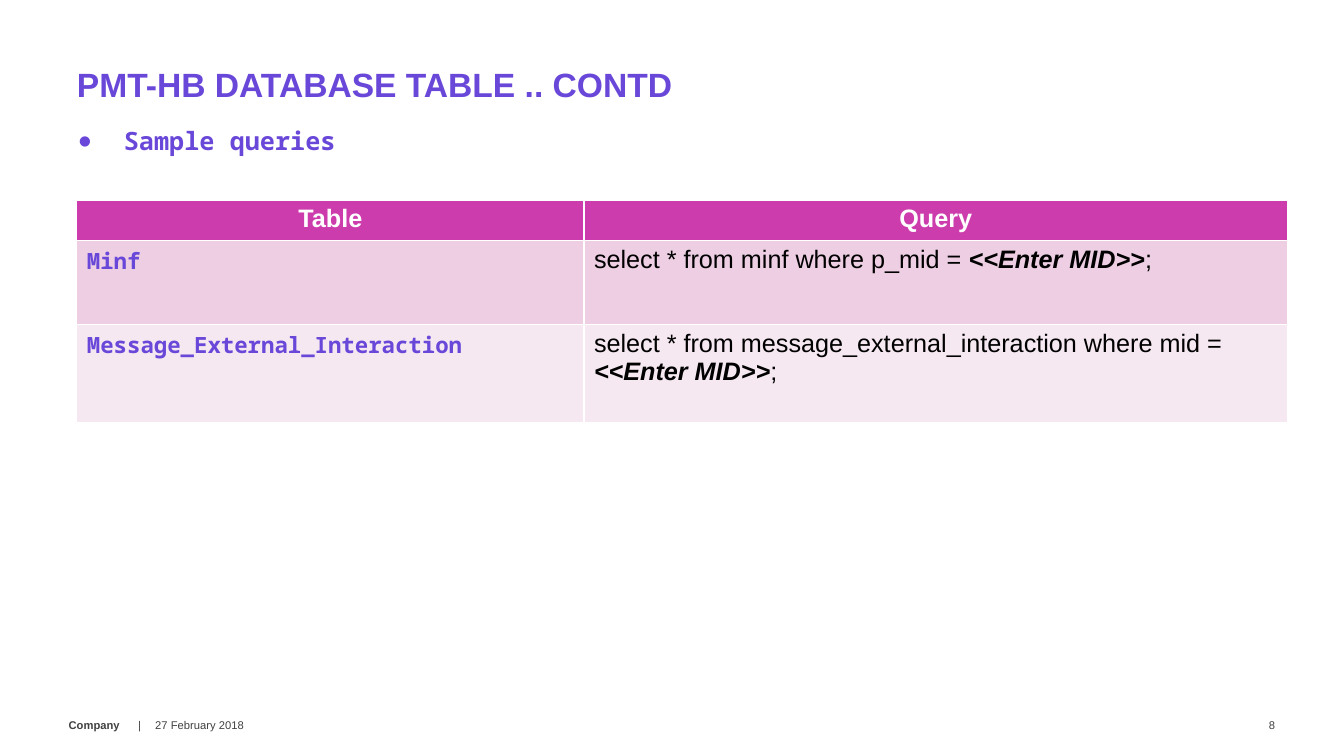
"""Build the database table slide with its sample queries."""
from lxml.etree import SubElement
from pptx import Presentation
from pptx.dml.color import RGBColor
from pptx.enum.text import MSO_ANCHOR, PP_ALIGN
from pptx.oxml.ns import qn
from pptx.util import Pt

PURPLE = RGBColor(0x69, 0x48, 0xD9)
MAGENTA = RGBColor(0xCD, 0x3C, 0xAD)
PINK = RGBColor(0xED, 0xCE, 0xE3)
PALE_PINK = RGBColor(0xF6, 0xE8, 0xF1)
GRAY = RGBColor(0x41, 0x41, 0x41)
BLACK = RGBColor(0, 0, 0)
WHITE = RGBColor(0xFF, 0xFF, 0xFF)
SANS = "Arial"
MONO = "Noto Sans Mono"
HEADINGS = ["Table", "Query"]
QUERIES = [
    ("Minf", "select * from minf where p_mid = "),
    ("Message_External_Interaction",
     "select * from message_external_interaction where mid = "),
]
FOOTER_TOP, FOOTER_HEIGHT = 503.3, 28.8


class SlideBuilder:
    """Hold the text style and the current page."""

    def __init__(self, page):
        self.page = page

    def style(self, para, size, color, name=SANS, bold=None):
        """Set the font of a whole paragraph."""
        font = para.font
        font.name, font.size, font.bold = name, Pt(size), bold
        font.color.rgb = color

    def frame(self, box, anchor, margin=0):
        """Set wrapping, anchor and margins, and return the first paragraph."""
        frame = box.text_frame
        frame.word_wrap = True
        frame.vertical_anchor = anchor
        frame.margin_left = frame.margin_right = Pt(margin)
        frame.margin_top = frame.margin_bottom = Pt(margin / 2)
        return frame.paragraphs[0]

    def title(self, text, left, top, width, height):
        """Place and format the title placeholder."""
        box = self.page.shapes.title
        box.left, box.top, box.width, box.height = map(Pt, (left, top, width, height))
        para = self.frame(box, MSO_ANCHOR.BOTTOM)
        para.text = text
        para.alignment = PP_ALIGN.LEFT
        para.line_spacing = 0.8
        self.style(para, 24, PURPLE, bold=True)

    def text(self, left, width, top=FOOTER_TOP, height=FOOTER_HEIGHT,
             anchor=MSO_ANCHOR.MIDDLE, margin=0):
        """Add a text box and return its first paragraph."""
        box = self.page.shapes.add_textbox(*map(Pt, (left, top, width, height)))
        return self.frame(box, anchor, margin)

    def bullet(self, text, left, top, width, height):
        """Add a line with a large round bullet."""
        para = self.text(left, width, top, height, MSO_ANCHOR.TOP, 7.2)
        para.text = text
        para.line_spacing = 0.9
        properties = para._p.get_or_add_pPr()
        properties.set("marL", str(Pt(32.4)))
        properties.set("indent", str(-Pt(32.4)))
        SubElement(properties, qn("a:buSzPct"), val="150000")
        SubElement(properties, qn("a:buFont"), typeface=SANS)
        SubElement(properties, qn("a:buChar"), char="•")
        self.style(para, 18, PURPLE, MONO, True)

    def footer(self, text, left, width, alignment=PP_ALIGN.LEFT):
        """Add a small plain footer text."""
        para = self.text(left, width)
        para.text = text
        para.alignment = alignment
        self.style(para, 8, GRAY)

    def company(self, name, left, width):
        """Add the bold company name and a tabbed divider."""
        para = self.text(left, width)
        for text, bold in ((name, True), ("\t|", False)):
            span = para.add_run()
            span.text, span.font.bold = text, bold
        tabs = SubElement(para._p.get_or_add_pPr(), qn("a:tabLst"))
        SubElement(tabs, qn("a:tab"), pos=str(Pt(49.7)), algn="l")
        self.style(para, 8, GRAY)

    def cell(self, cell, fill):
        """Fill a table cell and return its first paragraph."""
        cell.fill.solid()
        cell.fill.fore_color.rgb = fill
        return cell.text_frame.paragraphs[0]

    def query_table(self, left, top, widths, heights):
        """Add the table of sample queries."""
        table = self.page.shapes.add_table(
            len(heights), len(widths), Pt(left), Pt(top),
            Pt(sum(widths)), Pt(sum(heights))).table
        for column, width in zip(table.columns, widths):
            column.width = Pt(width)
        for row, height in zip(table.rows, heights):
            row.height = Pt(height)
        for index, heading in enumerate(HEADINGS):
            para = self.cell(table.cell(0, index), MAGENTA)
            para.text = heading
            para.alignment = PP_ALIGN.CENTER
            self.style(para, 18, WHITE, bold=True)
        for index, (name, query) in enumerate(QUERIES, 1):
            fill = PINK if index % 2 else PALE_PINK
            para = self.cell(table.cell(index, 0), fill)
            para.text = name
            self.style(para, 16, PURPLE, MONO, True)
            para = self.cell(table.cell(index, 1), fill)
            for text, strong in ((query, False), ("<<Enter MID>>", True), (";", False)):
                span = para.add_run()
                span.text = text
                span.font.bold = span.font.italic = strong
            self.style(para, 18, BLACK)


def main():
    """Create the deck and save it."""
    deck = Presentation()
    deck.slide_width, deck.slide_height = Pt(960), Pt(540)
    builder = SlideBuilder(deck.slides.add_slide(deck.slide_layouts[5]))
    builder.title("PMT-HB DATABASE TABLE .. CONTD", 54.9, 21.6, 763.2, 52.6)
    builder.bullet("Sample queries", 49, 88.6, 717.8, 27.4)
    builder.query_table(54.9, 142.8, (362.2, 502.6), (27.9, 60, 70))
    builder.company("Company", 49, 64)
    builder.footer("27 February 2018", 110.9, 110.2)
    builder.footer("8", 871.9, 38.9, PP_ALIGN.RIGHT)
    deck.save("out.pptx")


if __name__ == "__main__":
    main()
